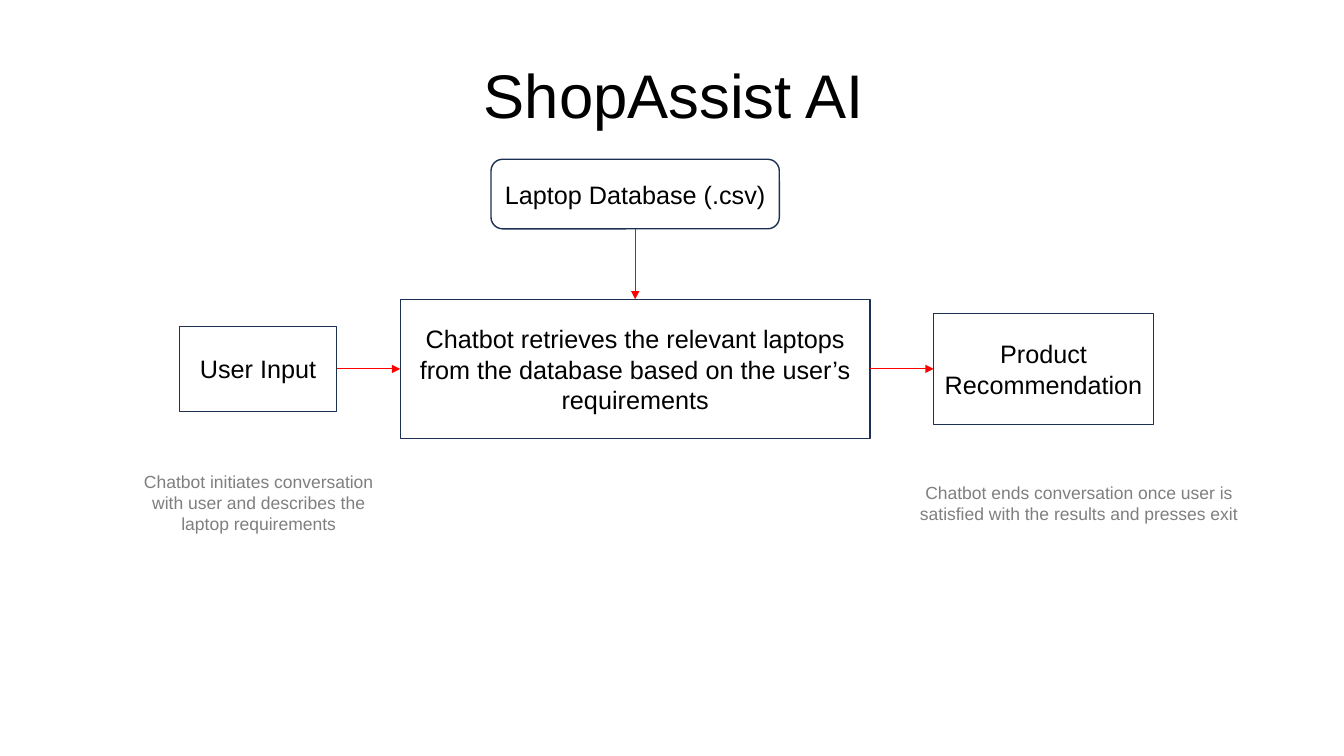
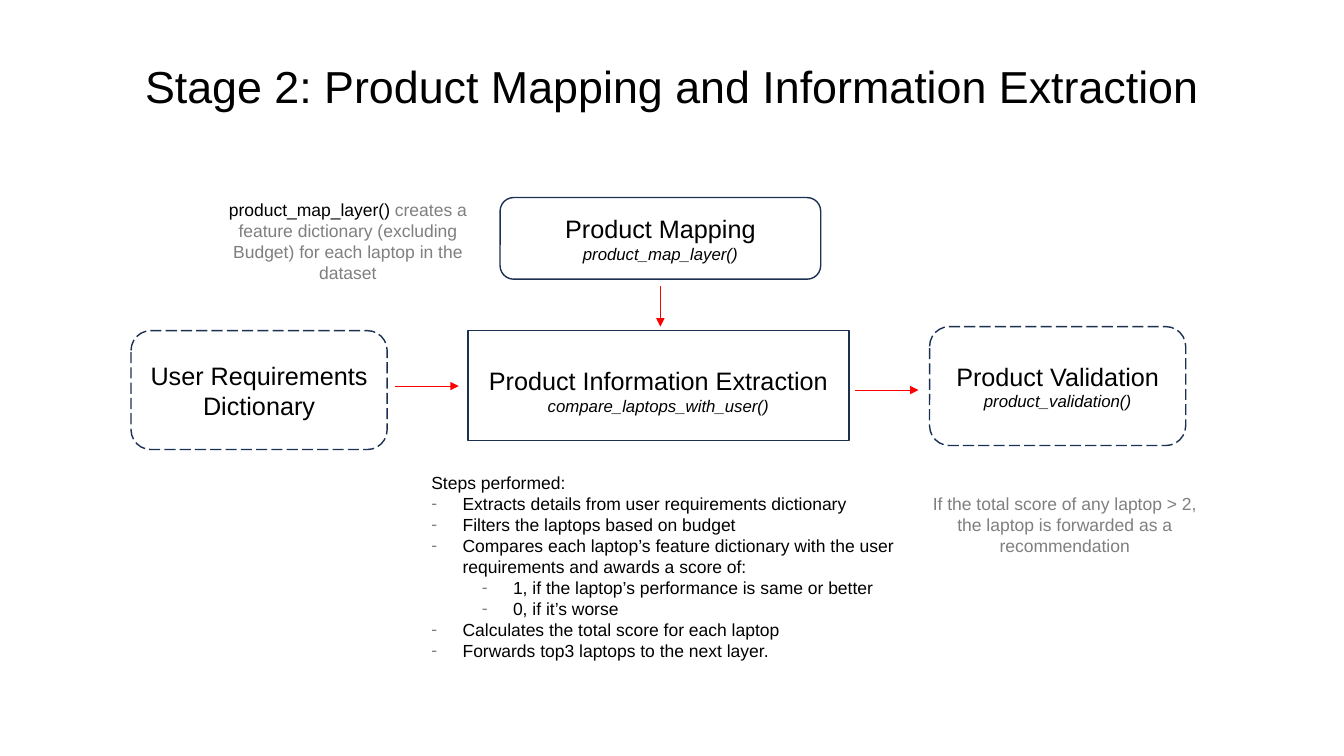
from dataclasses import dataclass

from lxml import etree
from pptx import Presentation
from pptx.dml.color import RGBColor
from pptx.enum.dml import MSO_LINE
from pptx.enum.shapes import MSO_CONNECTOR, MSO_SHAPE
from pptx.enum.text import MSO_ANCHOR, MSO_AUTO_SIZE, PP_ALIGN
from pptx.oxml.ns import qn
from pptx.util import Pt

EMU_PER_PX = 9144
SLIDE_W, SLIDE_H = 1333, 750
TITLE_ONLY = 5


class Theme:
    font = "Arial"
    black, grey, navy, red = "000000", "7F7F7F", "1C3052", "FF0000"
    border, arrow = 1, 0.75
    label = {"size": 18, "color": black}
    code = {"size": 12, "color": black, "italic": True}
    note = {"size": 12.5, "color": grey}
    body = {"size": 12.5, "color": black}
    cover_title = {"size": 44, "color": black}
    stage_title = {"size": 32, "color": black}


@dataclass
class Box:
    x: int
    y: int
    w: int
    h: int

    def sub(self, x, y, w, h):
        """Box given relative to this one's top left corner."""
        return Box(self.x + x, self.y + y, w, h)

    def point(self, x, y):
        return self.x + x, self.y + y

    def emu(self):
        return [px(v) for v in (self.x, self.y, self.w, self.h)]


def px(value):
    return value * EMU_PER_PX


def rgb(color):
    return RGBColor.from_string(color)


def add_run(p, text, style):
    r = p.add_run()
    r.text = text
    values = {"name": Theme.font, **style, "size": Pt(style["size"])}
    r.font.color.rgb = rgb(values.pop("color"))
    for name, value in values.items():
        setattr(r.font, name, value)


def write(tf, paragraphs, align=PP_ALIGN.CENTER):
    """Fill a text frame; each paragraph is a list of (text, style) runs."""
    tf.word_wrap = True
    for i, runs in enumerate(paragraphs):
        p = tf.add_paragraph() if i else tf.paragraphs[0]
        p.alignment = align
        for text, style in runs:
            add_run(p, text, style)


def add_title(s, text, style, box):
    sp = s.shapes.title
    for name, value in zip(("left", "top", "width", "height"), box.emu()):
        setattr(sp, name, value)
    tf = sp.text_frame
    tf.vertical_anchor = MSO_ANCHOR.MIDDLE
    write(tf, [[(text, style)]])
    tf.paragraphs[0].line_spacing = 0.9


def add_node(s, box, label, code=None, rounded=False, dashed=False, drop=0):
    """Outlined flow step; drop lowers the text within it."""
    kind = MSO_SHAPE.ROUNDED_RECTANGLE if rounded else MSO_SHAPE.RECTANGLE
    sp = s.shapes.add_shape(kind, *box.emu())
    sp.shadow.inherit = False
    sp.fill.background()
    sp.line.color.rgb = rgb(Theme.navy)
    sp.line.width = Pt(Theme.border)
    if dashed:
        sp.line.dash_style = MSO_LINE.LONG_DASH
    tf = sp.text_frame
    tf.vertical_anchor = MSO_ANCHOR.MIDDLE
    tf.margin_top += px(2 * drop)
    lines = [[(label, Theme.label)]]
    if code:
        lines.append([(code, Theme.code)])
    write(tf, lines)
    return sp


def add_arrow(s, start, end):
    cx = s.shapes.add_connector(MSO_CONNECTOR.STRAIGHT,
                                *(px(v) for v in (*start, *end)))
    cx.line.color.rgb = rgb(Theme.red)
    cx.line.width = Pt(Theme.arrow)
    ln = cx.line._get_or_add_ln()
    etree.SubElement(ln, qn("a:tailEnd"), type="triangle")
    etree.SubElement(cx._element.spPr, qn("a:effectLst"))
    return cx


def connect(s, source, source_site, target, target_site):
    cx = add_arrow(s, (0, 0), (0, 0))
    cx.begin_connect(source, source_site)
    cx.end_connect(target, target_site)


def add_text(s, box, paragraphs, align=PP_ALIGN.CENTER):
    tf = s.shapes.add_textbox(*box.emu()).text_frame
    write(tf, paragraphs, align)
    tf.auto_size = MSO_AUTO_SIZE.SHAPE_TO_FIT_TEXT
    return tf


def add_dash_bullet(p, level):
    p.level = level
    pPr = p._p.get_or_add_pPr()
    hang = 31
    pPr.set("marL", str(px(hang + 50 * level)))
    pPr.set("indent", str(px(-hang)))
    color = etree.SubElement(pPr, qn("a:buClr"))
    etree.SubElement(color, qn("a:srgbClr"), val=Theme.grey)
    etree.SubElement(pPr, qn("a:buFont"), typeface=Theme.font)
    etree.SubElement(pPr, qn("a:buChar"), char="-")


def overview_flow(s, area):
    axis, gap, x = 208, 63, 47
    steps = [
        ("User Input", 156, 84),
        ("Chatbot retrieves the relevant laptops from the database based on "
         "the user’s requirements", 466, 138),
        ("Product Recommendation", 218, 110),
    ]
    nodes = []
    for label, w, h in steps:
        nodes.append(add_node(s, area.sub(x, axis - h // 2, w, h), label))
        x += w + gap
    bottom, left, right, top = 2, 1, 3, 0
    for source, target in zip(nodes, nodes[1:]):
        connect(s, source, right, target, left)

    database = add_node(s, area.sub(356, 0, 286, 69),
                        "Laptop Database (.csv)", rounded=True)
    connect(s, database, bottom, nodes[1], top)

    add_text(s, area.sub(0, 304, 251, 73), [[(
        "Chatbot initiates conversation with user and describes the laptop "
        "requirements", Theme.note)]])
    add_text(s, area.sub(764, 315, 350, 52), [[(
        "Chatbot ends conversation once user is satisfied with the results "
        "and presses exit", Theme.note)]])


def mapping_flow(s, area):
    add_node(s, area.sub(366, 3, 318, 81), "Product Mapping",
             "product_map_layer()", rounded=True)
    add_node(s, area.sub(0, 135, 254, 118), "User Requirements Dictionary",
             rounded=True, dashed=True)
    add_node(s, area.sub(334, 135, 378, 109), "Product Information Extraction",
             "compare_laptops_with_user()", drop=5)
    add_node(s, area.sub(792, 131, 254, 118), "Product Validation",
             "product_validation()", rounded=True, dashed=True)

    for x, y, dx, dy in [(262, 190, 63, 0), (718, 194, 63, 0), (525, 91, 0, 40)]:
        add_arrow(s, area.point(x, y), area.point(x + dx, y + dy))

    add_text(s, area.sub(65, 0, 300, 94), [[
        ("product_map_layer() ", Theme.body),
        ("creates a feature dictionary (excluding Budget) for each laptop in "
         "the dataset", Theme.note)]])
    add_text(s, area.sub(776, 291, 300, 73), [[(
        "If the total score of any laptop > 2, the laptop is forwarded as a "
        "recommendation", Theme.note)]])


def steps_list(s, area):
    steps = [
        (0, "Extracts details from user requirements dictionary"),
        (0, "Filters the laptops based on budget"),
        (0, "Compares each laptop’s feature dictionary with the user "
            "requirements and awards a score of:"),
        (1, "1, if the laptop’s performance is same or better"),
        (1, "0, if it’s worse"),
        (0, "Calculates the total score for each laptop"),
        (0, "Forwards top3 laptops to the next layer."),
    ]
    lines = ["Steps performed:"] + [text for _, text in steps]
    tf = add_text(s, area, [[(text, Theme.body)] for text in lines],
                  PP_ALIGN.LEFT)
    for p, (level, _) in zip(tf.paragraphs[1:], steps):
        add_dash_bullet(p, level)


def main():
    prs = Presentation()
    prs.slide_width, prs.slide_height = px(SLIDE_W), px(SLIDE_H)
    layout = prs.slide_layouts[TITLE_ONLY]

    s = prs.slides.add_slide(layout)
    add_title(s, "ShopAssist AI", Theme.cover_title, Box(92, 40, 1153, 115))
    overview_flow(s, Box(131, 158, 1114, 377))

    s = prs.slides.add_slide(layout)
    add_title(s, "Stage 2: Product Mapping and Information Extraction",
              Theme.stage_title, Box(92, 16, 1150, 145))
    mapping_flow(s, Box(130, 193, 1076, 364))
    steps_list(s, Box(418, 463, 488, 220))

    prs.save("out.pptx")


if __name__ == "__main__":
    main()
